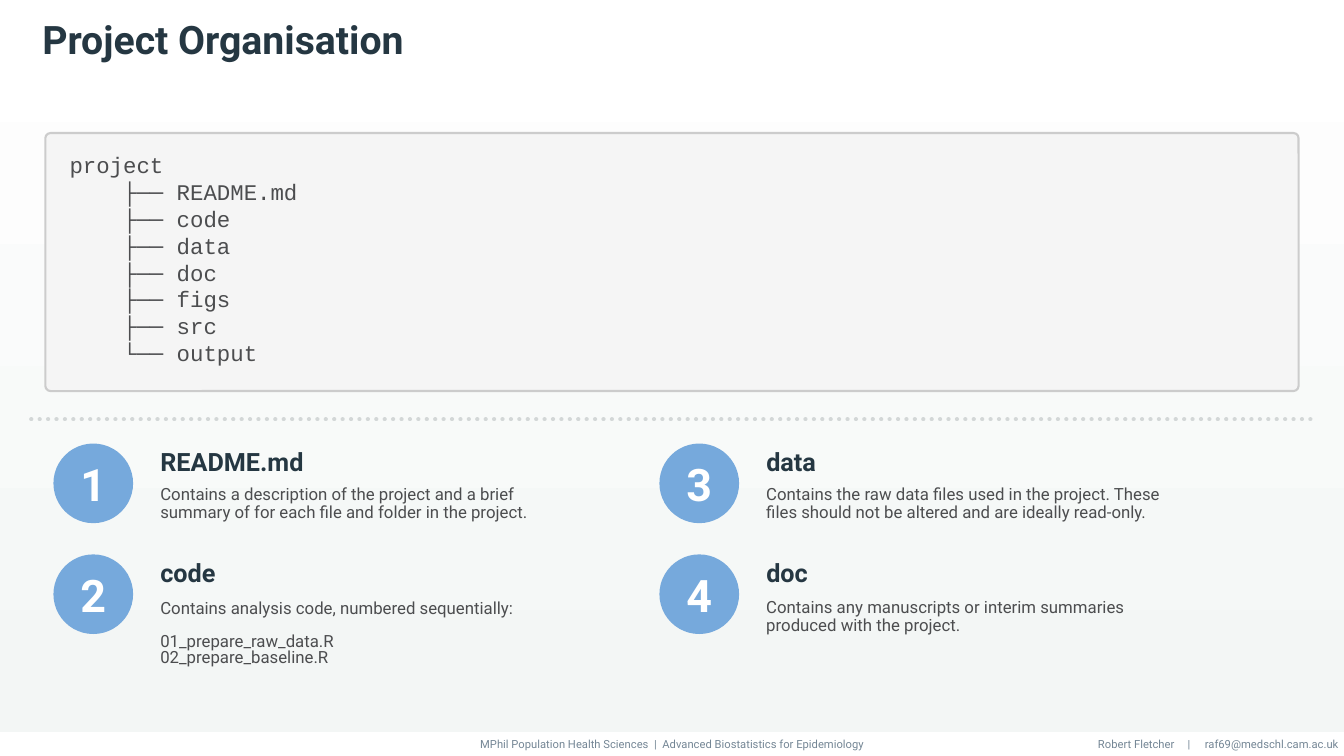
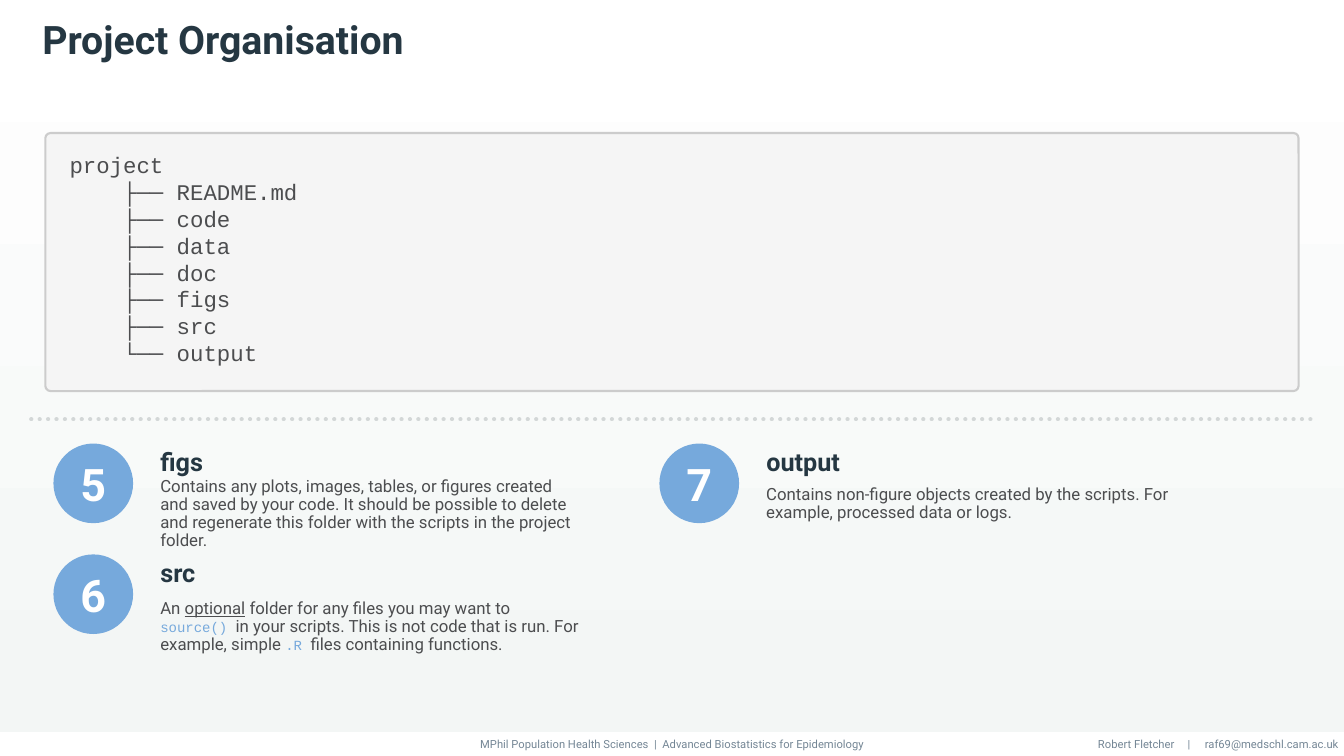
from dataclasses import dataclass

from lxml.etree import SubElement as Sub
from pptx import Presentation
from pptx.dml.color import RGBColor as Rgb
from pptx.enum.shapes import MSO_CONNECTOR as Conn, MSO_SHAPE as Form
from pptx.enum.text import MSO_ANCHOR as Anchor, PP_ALIGN as Align
from pptx.oxml.ns import qn
from pptx.util import Inches, Pt

WIDE, HIGH = 13.33, 7.5
LEFT, TOP = 0.53, 4.4  # first cell of the item grid
COL, ROW = 6.01, 1.1  # grid steps
DISC, INDENT = 0.79, 1.06
HUES = {
    "ink": "253742", "text": "4C4D4F", "blue": "76A9DC", "white": "FFFFFF",
    "foot": "748695", "mist": "F3F6F5", "panel": "F5F5F5", "edge": "CCCCCC",
    "dots": "D3D7D7",
}
SANS, MONO = "Roboto", "Courier New"


@dataclass(frozen=True)
class Style:
    size: float
    hue: str
    face: str = SANS
    bold: bool = False
    line: float = 1.0


@dataclass(frozen=True)
class Span:
    text: str
    code: bool = False
    under: bool = False


@dataclass(frozen=True)
class Item:
    """A numbered note; drop is the body's middle below the row's top."""
    num: int
    col: int
    row: int
    name: str
    body: tuple[tuple[Span, ...], ...]
    drop: float = 0.6
    line: float = 0.9


TITLE = Style(28, "ink", bold=True, line=0.9)
HEAD = Style(18, "ink", bold=True)
NUM = Style(32, "white", bold=True)
FOOT = Style(8, "foot", line=0.9)
TREE = Style(16, "text", MONO)
CODE = Style(10, "blue", MONO)

FILES = ("README.md", "code", "data", "doc", "figs", "src", "output")


def plain(*lines: str) -> tuple[tuple[Span, ...], ...]:
    return tuple((Span(line),) for line in lines)


DECK = (
    (
        Item(1, 0, 0, "README.md", plain(
            "Contains a description of the project and a brief summary of "
            "for each file and folder in the project.")),
        Item(2, 0, 1, "code", plain(
            "Contains analysis code, numbered sequentially:",
            "01_prepare_raw_data.R", "02_prepare_baseline.R"), 0.79, 0.8),
        Item(3, 1, 0, "data", plain(
            "Contains the raw data files used in the project. These files "
            "should not be altered and are ideally read-only.")),
        Item(4, 1, 1, "doc", plain(
            "Contains any manuscripts or interim summaries produced with "
            "the project."), 0.62),
    ),
    (
        Item(5, 0, 0, "figs", plain(
            "Contains any plots, images, tables, or figures created and "
            "saved by your code. It should be possible to delete and "
            "regenerate this folder with the scripts in the project "
            "folder."), 0.7),
        Item(6, 0, 1, "src", ((
            Span("An "), Span("optional", under=True),
            Span(" folder for any files you may want to "),
            Span("source() ", code=True),
            Span("in your scripts. This is not code that is run. "
                 "For example, simple "),
            Span(".R ", code=True),
            Span("files containing functions.")),), 0.72),
        Item(7, 1, 0, "output", plain(
            "Contains non-figure objects created by the scripts. For "
            "example, processed data or logs.")),
    ),
)


def color(hue: str) -> Rgb:
    return Rgb.from_string(HUES[hue])


def dress(font, style: Style) -> None:
    font.name, font.size, font.bold = style.face, Pt(style.size), style.bold
    font.color.rgb = color(style.hue)


def write(frame, paras, style: Style, align=Align.LEFT, anchor=Anchor.TOP,
          pad: float = 0, tabs: tuple[float, ...] = ()) -> None:
    """Fill a text frame with paragraphs of spans."""
    frame.word_wrap, frame.vertical_anchor = True, anchor
    frame.margin_left = frame.margin_right = Inches(pad)
    frame.margin_top = frame.margin_bottom = 0
    for i, spans in enumerate(paras):
        para = frame.add_paragraph() if i else frame.paragraphs[0]
        if tabs:
            stops = Sub(para._p.get_or_add_pPr(), qn("a:tabLst"))
            for stop in tabs:
                Sub(stops, qn("a:tab"), pos=str(Inches(stop)), algn="l")
        para.alignment, para.line_spacing = align, style.line
        dress(para.font, style)
        for span in spans:
            run = para.add_run()
            run.text = span.text
            if span.code:
                dress(run.font, CODE)
            if span.under:
                run.font.underline = True


def label(slide, box: tuple[float, ...], paras, style: Style, **opts):
    frame = slide.shapes.add_textbox(*map(Inches, box)).text_frame
    write(frame, paras, style, **opts)
    return frame


def shape(slide, form, box: tuple[float, ...], hue: str):
    item = slide.shapes.add_shape(form, *map(Inches, box))
    item.shadow.inherit = False
    item.fill.solid()
    item.fill.fore_color.rgb = color(hue)
    item.line.fill.background()
    return item


def backdrop(slide) -> None:
    fill = shape(slide, Form.RECTANGLE, (0, 0, WIDE, 7.26), "mist").fill
    fill.gradient()
    fill.gradient_angle = 90
    for stop, hue in zip(fill.gradient_stops, ("mist", "white")):
        stop.color.rgb = color(hue)
    for stop, spot in zip(fill.gradient_stops, (0, 1)):
        stop.position = spot


def tree(slide) -> None:
    panel = shape(slide, Form.ROUNDED_RECTANGLE,
                  (0.45, 1.32, 12.43, 2.56), "panel")
    panel.adjustments[0] = 0.02
    panel.line.color.rgb, panel.line.width = color("edge"), Pt(1.5)
    rows = ["project"]
    for name in FILES:
        rows.append(f"    {'└' if name == FILES[-1] else '├'}── {name}")
    label(slide, (0.69, 1.5, 3.83, 2.16), plain(*rows), TREE)


def divide(slide) -> None:
    line = slide.shapes.add_connector(
        Conn.STRAIGHT, *map(Inches, (0.31, 4.16, 13.02, 4.16)))
    line.line.color.rgb, line.line.width = color("dots"), Pt(3)
    pen = line.line._get_or_add_ln()
    pen.set("cap", "rnd")
    Sub(pen, qn("a:prstDash"), val="sysDot")
    Sub(line._element.spPr, qn("a:effectLst"))


def note(slide, item: Item) -> None:
    left, top = LEFT + item.col * COL, TOP + item.row * ROW
    disc = shape(slide, Form.OVAL, (left, top, DISC, DISC), "blue")
    write(disc.text_frame, plain(str(item.num)), NUM,
          align=Align.CENTER, anchor=Anchor.MIDDLE)
    left += INDENT
    label(slide, (left, top + 0.03, 2.45, 0.3), plain(item.name), HEAD)
    body = label(slide, (left, top + item.drop - 0.4, 4.17, 0.8), item.body,
                 Style(12, "text", line=item.line), anchor=Anchor.MIDDLE)
    if len(item.body) > 1:
        body.paragraphs[1].space_before = Pt(12)


def footer(slide) -> None:
    label(slide, (4.3, 7.33, 4.74, 0.12), plain(
        "MPhil Population Health Sciences  |  "
        "Advanced Biostatistics for Epidemiology"), FOOT, align=Align.CENTER)
    label(slide, (10.89, 7.33, 2.44, 0.12), plain(
        "Robert Fletcher\t|\traf69@medschl.cam.ac.uk"), FOOT,
        tabs=(0.89, 1.06))


def build(deck, items: tuple[Item, ...]) -> None:
    slide = deck.slides.add_slide(deck.slide_layouts[5])
    title = slide.shapes.title
    backdrop(slide)
    slide.shapes._spTree.append(title._element)
    title.left, title.top, title.width, title.height = map(
        Inches, (0.32, 0.09, 11.5, 0.65))
    write(title.text_frame, plain("Project Organisation"), TITLE,
          anchor=Anchor.MIDDLE, pad=0.1)
    tree(slide)
    divide(slide)
    for item in items:
        note(slide, item)
    footer(slide)


def main() -> None:
    deck = Presentation()
    deck.slide_width, deck.slide_height = Inches(WIDE), Inches(HIGH)
    for items in DECK:
        build(deck, items)
    deck.save("out.pptx")


if __name__ == "__main__":
    main()
